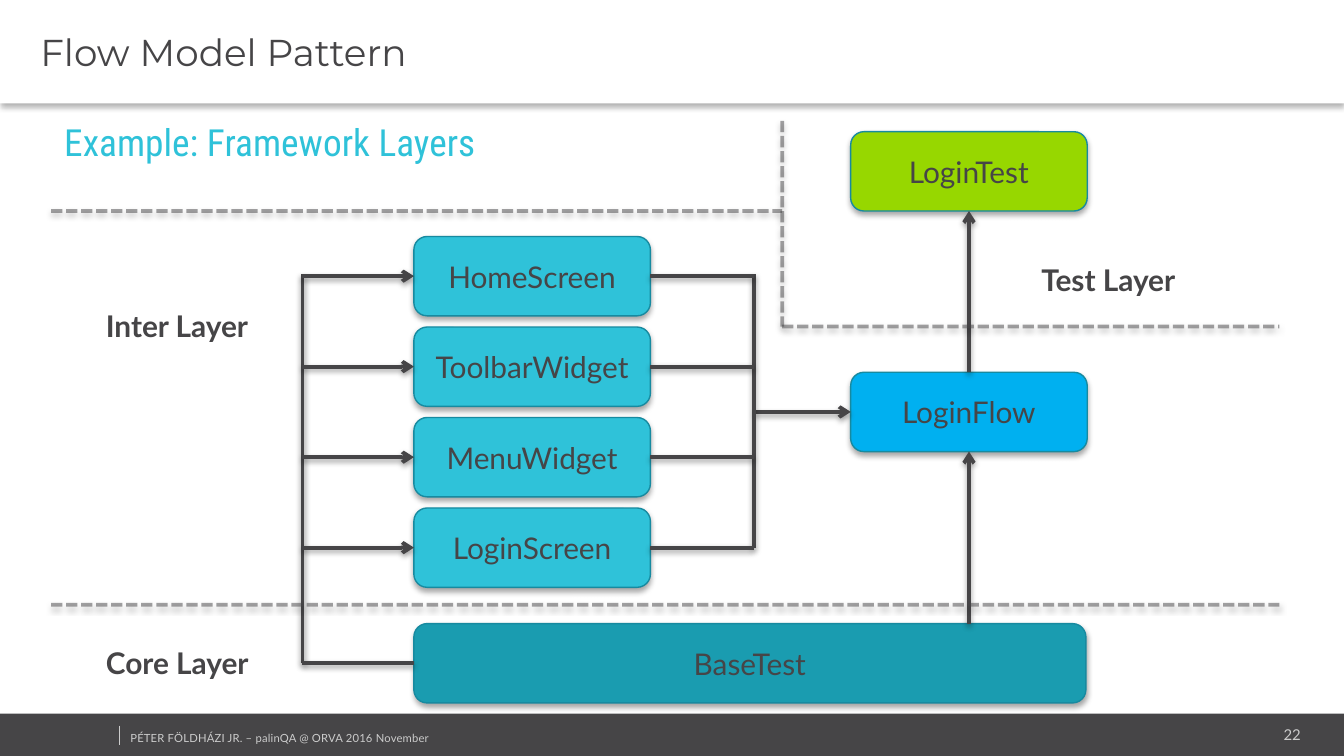
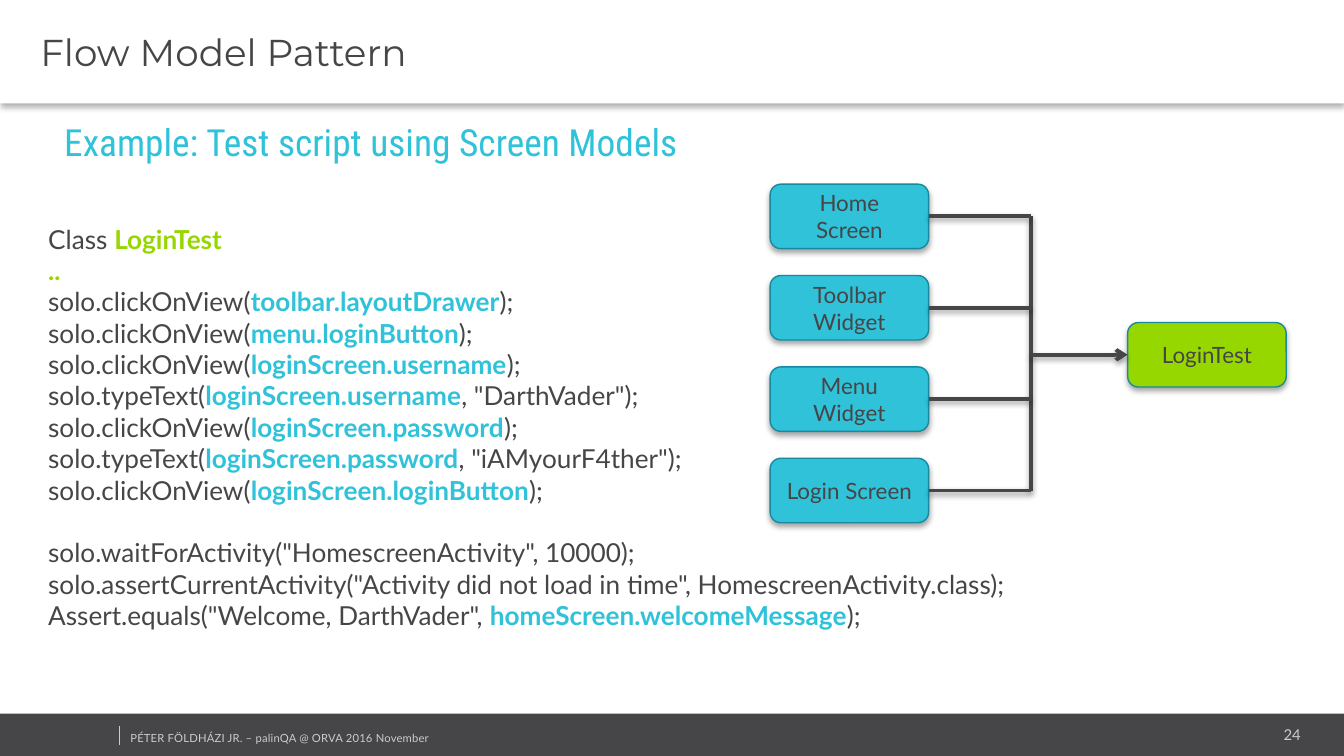
from lxml.etree import SubElement
from pptx import Presentation
from pptx.dml.color import RGBColor
from pptx.enum.dml import MSO_LINE
from pptx.enum.shapes import MSO_CONNECTOR, MSO_SHAPE
from pptx.enum.text import MSO_ANCHOR, MSO_AUTO_SIZE, PP_ALIGN
from pptx.oxml.ns import qn
from pptx.util import Inches, Pt

DARK = RGBColor(0x46, 0x45, 0x47)
GREY = RGBColor(0xCC, 0xCC, 0xCC)
WHITE = RGBColor(0xFF, 0xFF, 0xFF)
CYAN = RGBColor(0x2F, 0xC2, 0xD9)
TEAL = RGBColor(0x1A, 0x9C, 0xB0)
OUTLINE = RGBColor(0x17, 0x8A, 0xA0)
BLUE = RGBColor(0x00, 0xB0, 0xF0)
GREEN = RGBColor(0x97, 0xD7, 0x00)

TOP, LEFT, BOTTOM, RIGHT = range(4)  # connection sites of a box


def set_text(frame, text, size, color, font="Lato", bold=False, align=PP_ALIGN.LEFT):
    frame.word_wrap = True
    frame.text = text
    paragraph = frame.paragraphs[0]
    paragraph.alignment = align
    paragraph.font.name = font
    paragraph.font.size = Pt(size)
    paragraph.font.bold = bold
    paragraph.font.color.rgb = color
    return paragraph


def set_shadow(shape, opacity, distance):
    """Add a soft shadow below the shape; call after fill and line are set."""
    effects = SubElement(shape._element.spPr, qn("a:effectLst"))
    if opacity:
        shadow = SubElement(effects, qn("a:outerShdw"), blurRad=str(Pt(3.1)),
                            dist=str(Pt(distance)), dir="5400000", rotWithShape="0")
        color = SubElement(shadow, qn("a:srgbClr"), val="000000")
        SubElement(color, qn("a:alpha"), val=str(opacity * 1000))


# Framework layers: boxes are name: (left, top, width, height, fill)
layer_boxes = {
    "LoginTest": (6.33, 0.98, 1.76, 0.59, GREEN),
    "LoginFlow": (6.33, 2.77, 1.76, 0.59, BLUE),
    "BaseTest": (3.08, 4.64, 5, 0.59, TEAL),
}
flow_middle = 2.77 + 0.59 / 2
base_middle = 4.64 + 0.59 / 2
# Lines are (start, end, style); an end is a point or a (box name, site)
layer_lines = [
    (("LoginFlow", TOP), ("LoginTest", BOTTOM), "arrow"),
    ((7.21, 4.64), ("LoginFlow", BOTTOM), "arrow"),
    ((5.61, flow_middle), ("LoginFlow", LEFT), "arrow"),
    ((5.61, 2.04), (5.61, 4.08), "plain"),
    ((2.25, 2.04), (2.25, base_middle), "plain"),
    ((2.25, base_middle), ("BaseTest", LEFT), "plain"),
    ((0.38, 4.5), (9.52, 4.5), "dashed"),
    ((0.38, 1.57), (5.82, 1.57), "dashed"),
    ((5.82, 0.9), (5.82, 2.43), "dashed"),
    ((5.82, 2.43), (9.52, 2.43), "dashed"),
]
for row, name in enumerate(["HomeScreen", "ToolbarWidget", "MenuWidget", "LoginScreen"]):
    top = 1.76 + 2.02 * row / 3
    middle = top + 0.59 / 2
    layer_boxes[name] = (3.08, top, 1.76, 0.59, CYAN)
    layer_lines.append(((2.25, middle), (name, LEFT), "arrow"))
    layer_lines.append(((name, RIGHT), (5.61, middle), "plain"))

# Test script using screen models
script_boxes = {"LoginTest": (8.39, 2.4, 1.18, 0.48, GREEN)}
script_lines = [
    ((7.67, 1.61), (7.67, 3.65), "plain"),
    ((7.67, 2.64), ("LoginTest", LEFT), "arrow"),
]
for row, name in enumerate(["Home Screen", "Toolbar Widget", "Menu Widget", "Login Screen"]):
    top = 1.37 + 0.68 * row
    script_boxes[name] = (5.73, top, 1.18, 0.48, CYAN)
    script_lines.append(((name, RIGHT), (7.67, top + 0.24), "plain"))

# Bars enclose the highlighted part of a code line
code_lines = [
    "Class |LoginTest|",
    "|..|",
    "solo.clickOnView(|toolbar.layoutDrawer|);",
    "solo.clickOnView(|menu.loginButton|);",
    "solo.clickOnView(|loginScreen.username|);",
    'solo.typeText(|loginScreen.username|, "DarthVader");',
    "solo.clickOnView(|loginScreen.password|);",
    'solo.typeText(|loginScreen.password|, "iAMyourF4ther");',
    "solo.clickOnView(|loginScreen.loginButton|);",
    'solo.waitForActivity("HomescreenActivity", 10000);',
    'solo.assertCurrentActivity("Activity did not load in time", HomescreenActivity.class);',
    'Assert.equals("Welcome, DarthVader", |homeScreen.welcomeMessage|);',
]

layer_labels = [
    ("Test Layer", 7.65, 1.9),
    ("Core Layer", 0.69, 4.75),
    ("Inter Layer", 0.69, 2.24),
]

pages = [
    ("22", "Example: Framework Layers", 16, layer_boxes, layer_lines, layer_labels, []),
    ("24", "Example: Test script using Screen Models", 12,
     script_boxes, script_lines, [], code_lines),
]

presentation = Presentation()
presentation.slide_width = Inches(10)
presentation.slide_height = Inches(10) * 9 // 16

for number, subtitle, box_size, boxes, lines, labels, code in pages:
    slide = presentation.slides.add_slide(presentation.slide_layouts[5])
    shapes = slide.shapes

    title = shapes.title
    title.left, title.top, title.width, title.height = 0, 0, Inches(10), Inches(0.77)
    title.fill.solid()
    title.fill.fore_color.rgb = WHITE
    set_shadow(title, 30, 2)
    frame = title.text_frame
    frame.auto_size = MSO_AUTO_SIZE.NONE
    frame.vertical_anchor = MSO_ANCHOR.MIDDLE
    frame.margin_left, frame.margin_right = Inches(0.3), Inches(0.07)
    frame.margin_top = frame.margin_bottom = Inches(0.04)
    set_text(frame, "Flow Model Pattern", 20, DARK, "Montserrat")

    band = shapes.add_shape(MSO_SHAPE.RECTANGLE, 0, Inches(5.31), Inches(10.01), Inches(0.33))
    band.shadow.inherit = False
    band.fill.solid()
    band.fill.fore_color.rgb = DARK
    band.line.fill.background()
    divider = shapes.add_connector(MSO_CONNECTOR.STRAIGHT, Inches(0.89), Inches(5.4),
                                   Inches(0.89), Inches(5.54))
    divider.line.color.rgb = GREY
    divider.line.width = Pt(0.25)
    set_shadow(divider, 0, 0)
    for text, left, top, width, height, size, align in [
        (number, 8.12, 5.36, 1.63, 0.21, 8, PP_ALIGN.RIGHT),
        ("PÉTER FÖLDHÁZI JR. – palinQA @ ORVA 2016 November",
         0.9, 5.4, 2.53, 0.18, 6, PP_ALIGN.LEFT),
    ]:
        footer = shapes.add_textbox(Inches(left), Inches(top), Inches(width), Inches(height))
        frame = footer.text_frame
        frame.margin_left = frame.margin_right = Inches(0.07)
        frame.margin_top = frame.margin_bottom = Inches(0.04)
        paragraph = set_text(frame, text, size, GREY, align=align)
        if text != number:
            paragraph.runs[0]._r.get_or_add_rPr().set("spc", "10")

    heading = shapes.add_textbox(0, Inches(0.77), Inches(6.44), Inches(0.49))
    paragraph = set_text(heading.text_frame, subtitle, 20, CYAN, "Roboto Condensed")
    paragraph.line_spacing = 1.2
    paragraph._p.get_or_add_pPr().set("marL", str(Inches(0.38)))

    if code:
        frame = shapes.add_textbox(Inches(0.26), Inches(1.61),
                                   Inches(7.58), Inches(3.16)).text_frame
        frame.word_wrap = True
        for index, code_line in enumerate(code):
            paragraph = frame.add_paragraph() if index else frame.paragraphs[0]
            paragraph.font.name = "Lato"
            paragraph.font.size = Pt(14)
            if code_line.startswith("solo.wait"):
                paragraph.space_before = Pt(16.8)
            for part, text in enumerate(code_line.split("|")):
                if text:
                    run = paragraph.add_run()
                    run.text = text
                    run.font.bold = part == 1
                    highlight = GREEN if index < 2 else CYAN
                    run.font.color.rgb = highlight if part == 1 else DARK

    box_shapes = {}
    for name, (left, top, width, height, fill) in boxes.items():
        box = shapes.add_shape(MSO_SHAPE.ROUNDED_RECTANGLE, Inches(left), Inches(top),
                               Inches(width), Inches(height))
        box.fill.solid()
        box.fill.fore_color.rgb = fill
        box.line.color.rgb = OUTLINE
        box.line.width = Pt(0.75)
        set_shadow(box, 35, 1.8)
        box.text_frame.vertical_anchor = MSO_ANCHOR.MIDDLE
        set_text(box.text_frame, name, box_size, DARK, align=PP_ALIGN.CENTER)
        box_shapes[name] = box

    for start, end, style in lines:
        points = [(0, 0) if point[0] in box_shapes else point for point in (start, end)]
        connector = shapes.add_connector(
            MSO_CONNECTOR.STRAIGHT, *[Inches(value) for point in points for value in point])
        if start[0] in box_shapes:
            connector.begin_connect(box_shapes[start[0]], start[1])
        if end[0] in box_shapes:
            connector.end_connect(box_shapes[end[0]], end[1])
        connector.line.color.rgb = DARK
        connector.line.width = Pt(2)
        outline = connector.line._get_or_add_ln()
        if style == "dashed":
            connector.line.dash_style = MSO_LINE.SQUARE_DOT
            SubElement(outline.find(".//" + qn("a:srgbClr")), qn("a:alpha"), val="50000")
        elif style == "arrow":
            SubElement(outline, qn("a:tailEnd"), type="arrow")
        set_shadow(connector, 38, 1.6)

    for text, left, top in labels:
        label = shapes.add_textbox(Inches(left), Inches(top), Inches(1.4), Inches(0.37))
        set_text(label.text_frame, text, 16, DARK, bold=True)

presentation.save("out.pptx")
